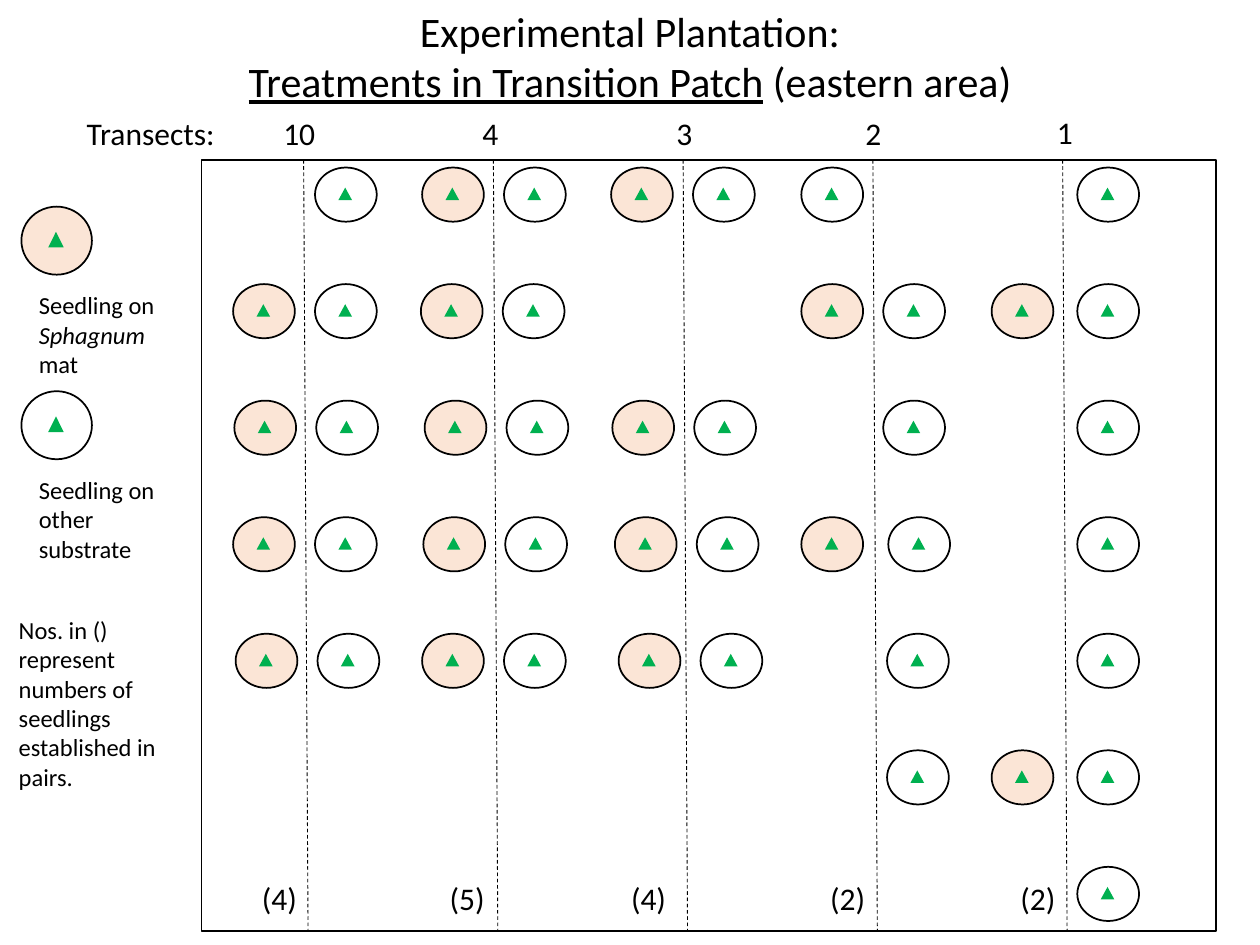
import dataclasses

import lxml.etree
import pptx
import pptx.dml.color
import pptx.enum.dml
import pptx.enum.shapes
import pptx.enum.text
import pptx.oxml.ns
import pptx.util

SHAPE = pptx.enum.shapes.MSO_SHAPE
SLIDE_WIDTH, SLIDE_HEIGHT = pptx.util.Inches(10), pptx.util.Inches(7.5)
CELL = SLIDE_WIDTH // 100  # the slide is a grid of 100 columns by 75 rows


@dataclasses.dataclass(frozen=True)
class Theme:
    font: str = "Calibri"
    ink: str = "000000"
    sphagnum: str = "FBE5D6"
    seedling: str = "00B050"
    title: int = 24
    label: int = 18
    note: int = 14
    outline: float = 1
    transect: float = 0.5


@dataclasses.dataclass(frozen=True)
class Box:
    left: float
    top: float
    width: float
    height: float

    def lengths(self):
        return [cells(n) for n in (self.left, self.top, self.width, self.height)]

    def inner_box(self, left, top, width, height):
        """Return the box at the given shares of this one."""
        return Box(self.left + left * self.width, self.top + top * self.height,
                   width * self.width, height * self.height)


@dataclasses.dataclass(frozen=True)
class Column:
    """Plots down one side: S on Sphagnum, o on other substrate, . empty."""
    left: float
    plots: str
    drift: tuple = (0,) * 7


@dataclasses.dataclass(frozen=True)
class Transect:
    name: str
    name_box: Box
    pairs: str
    pairs_left: float
    columns: tuple


THEME = Theme()
PLOT_WIDTH, PLOT_HEIGHT = 4.9, 4.3
ROW_GAP = 9.25
TRANSECT_GAP = 15.06
DRIFT_10 = (0, 0, 0.1, 0, 0.2)
DRIFT_4 = (0, -0.1, 0.2, 0.1, 0)
DRIFT_3 = (0, 0, 0.1, 0.3, 0.6)
DRIFT_2 = (0, 0, 0, 0.4, 0.3, 0.3)
TRANSECTS = (
    Transect("10", Box(21.5, 8.6, 4.6, 4), "(4)", 19.8,
             (Column(18.5, ".SSSS", DRIFT_10), Column(25, "ooooo", DRIFT_10))),
    Transect("4", Box(37.3, 8.6, 3.3, 4), "(5)", 34.7,
             (Column(33.5, "SSSSS", DRIFT_4), Column(40, "ooooo", DRIFT_4))),
    Transect("3", Box(52.7, 8.6, 3.3, 4), "(4)", 49.1,
             (Column(48.5, "S.SSS", DRIFT_3), Column(55, "o.ooo", DRIFT_3))),
    Transect("2", Box(67.7, 8.6, 3.3, 4), "(2)", 64.9,
             (Column(63.6, "oS.S"), Column(70.1, ".ooooo", DRIFT_2))),
    Transect("1", Box(82.9, 8.5, 3.3, 4), "(2)", 80,
             (Column(78.7, ".S...S"), Column(85.5, "ooooooo"))),
)


def cells(count):
    return round(count * CELL)


def color(code):
    return pptx.dml.color.RGBColor.from_string(code)


def add_span(para, text, size, underline=None, italic=None):
    span = para.add_run()
    span.text = text
    font = span.font
    font.name, font.size = THEME.font, pptx.util.Pt(size)
    font.color.rgb = color(THEME.ink)
    font.underline, font.italic = underline, italic


def add_text(shapes, box, *paras, size=THEME.label, wrap=False):
    """Add a text box; each para is a list of (text, format) pairs."""
    frame = shapes.add_textbox(*box.lengths()).text_frame
    frame.word_wrap = wrap
    frame.auto_size = pptx.enum.text.MSO_AUTO_SIZE.SHAPE_TO_FIT_TEXT
    for index, spans in enumerate(paras):
        para = frame.add_paragraph() if index else frame.paragraphs[0]
        for text, look in spans:
            add_span(para, text, size, **look)


def add_figure(shapes, kind, box, fill=None, outlined=True):
    figure = shapes.add_shape(kind, *box.lengths())
    figure.shadow.inherit = False
    if fill:
        figure.fill.solid()
        figure.fill.fore_color.rgb = color(fill)
    else:
        figure.fill.background()
    if outlined:
        figure.line.color.rgb = color(THEME.ink)
        figure.line.width = pptx.util.Pt(THEME.outline)
    else:
        figure.line.fill.background()


def add_seedling(page, box, on_sphagnum):
    group = page.shapes.add_group_shape()
    add_figure(group.shapes, SHAPE.OVAL, box, THEME.sphagnum if on_sphagnum else None)
    add_figure(group.shapes, SHAPE.ISOSCELES_TRIANGLE,
               box.inner_box(0.38, 0.37, 0.22, 0.23), THEME.seedling, outlined=False)
    return group


def add_transect_line(page, box):
    line = page.shapes.add_connector(
        pptx.enum.shapes.MSO_CONNECTOR.STRAIGHT, cells(box.left), cells(box.top),
        cells(box.left + box.width), cells(box.top + box.height))
    line.line.color.rgb = color(THEME.ink)
    line.line.width = pptx.util.Pt(THEME.transect)
    line.line.dash_style = pptx.enum.dml.MSO_LINE.DASH
    lxml.etree.SubElement(line._element.spPr, pptx.oxml.ns.qn("a:effectLst"))


def fill_title(page, box):
    title = page.shapes.title
    title.left, title.top, title.width, title.height = box.lengths()
    frame = title.text_frame
    frame.word_wrap = True
    frame.auto_size = pptx.enum.text.MSO_AUTO_SIZE.NONE
    frame.vertical_anchor = pptx.enum.text.MSO_ANCHOR.TOP
    lines = (frame.paragraphs[0], frame.add_paragraph())
    for para in lines:
        para.alignment = pptx.enum.text.PP_ALIGN.CENTER
    add_span(lines[0], "Experimental Plantation:", THEME.title)
    add_span(lines[1], "Treatments in Transition Patch", THEME.title, underline=True)
    add_span(lines[1], " (eastern area)", THEME.title, underline=False)


def add_plantation(page, box):
    add_figure(page.shapes, SHAPE.RECTANGLE, box)
    add_text(page.shapes, Box(5.9, 8.6, 12.3, 4), [("Transects:", {})])
    for index, transect in enumerate(TRANSECTS):
        line_left = box.left + 8.1 + index * TRANSECT_GAP
        add_transect_line(page, Box(line_left, box.top, 0.35, box.height))
        add_text(page.shapes, transect.name_box, [(transect.name, {})])
        for column in transect.columns:
            for row, (plot, drift) in enumerate(zip(column.plots, column.drift)):
                if plot != ".":
                    plot_box = Box(column.left + drift, box.top + 0.6 + row * ROW_GAP,
                                   PLOT_WIDTH, PLOT_HEIGHT)
                    add_seedling(page, plot_box, plot == "S")
        add_text(page.shapes, Box(transect.pairs_left, box.top + 56.6, 4.8, 4),
                 [(transect.pairs, {})])


def add_legend(page, box):
    entries = (
        (True, [("Seedling on ", {}), ("Sphagnum", {"italic": True}), (" mat", {})]),
        (False, [("Seedling on other substrate", {})]),
    )
    for index, (on_sphagnum, caption) in enumerate(entries):
        top = box.top + index * box.height / 2
        group = add_seedling(page, Box(box.left, top, 5.6, 5.4), on_sphagnum)
        add_text(group.shapes, Box(box.left + 0.4, top + 6.15, 13.7, 8.1), caption,
                 size=THEME.note, wrap=True)


def add_note(page, box):
    add_text(page.shapes, box, [("Nos. in () represent numbers of seedlings", {})],
             [("established in pairs.", {})], size=THEME.note, wrap=True)


def main():
    deck = pptx.Presentation()
    deck.slide_width, deck.slide_height = SLIDE_WIDTH, SLIDE_HEIGHT
    page = deck.slides.add_slide(deck.slide_layouts[5])
    fill_title(page, Box(0, -0.1, 100, 9.1))
    add_plantation(page, Box(16, 12.7, 80.5, 61.2))
    add_legend(page, Box(1.7, 16.4, 14.1, 29.3))
    add_note(page, Box(0.5, 48.3, 16.9, 15.1))
    deck.save("out.pptx")


if __name__ == "__main__":
    main()
